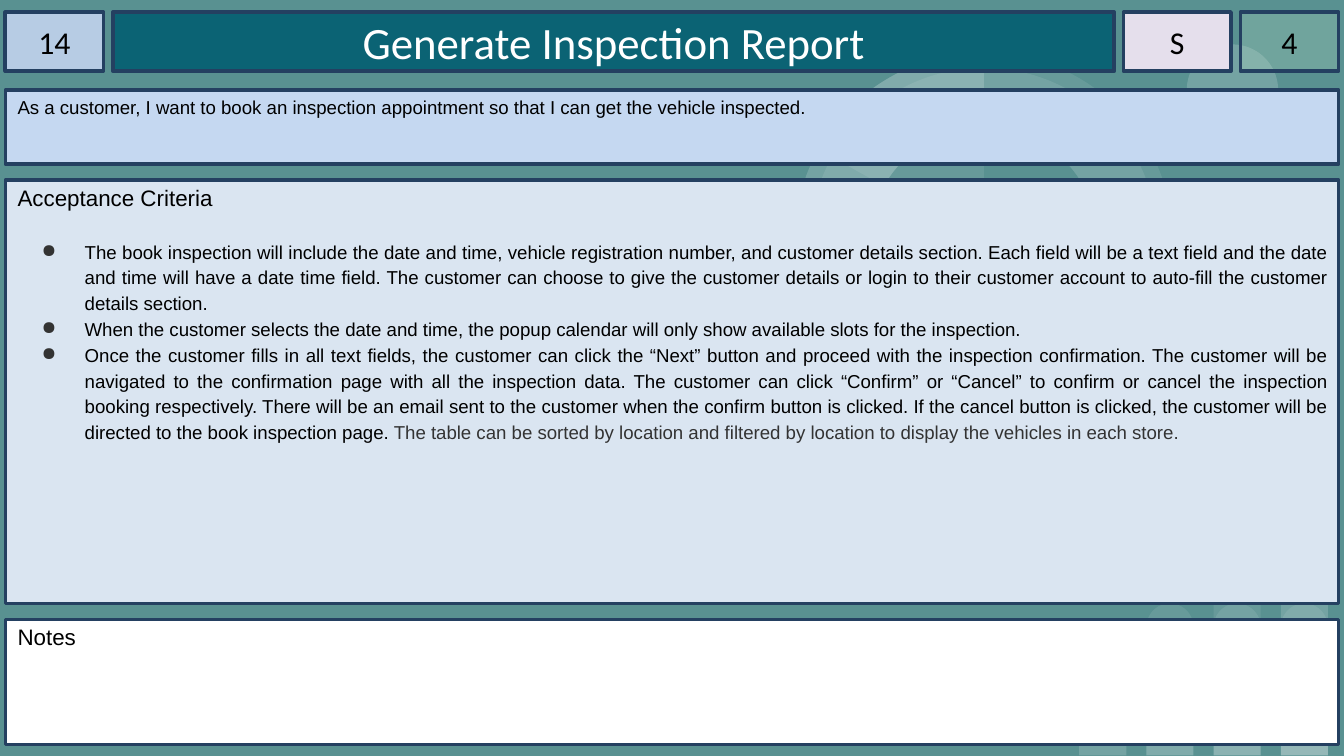
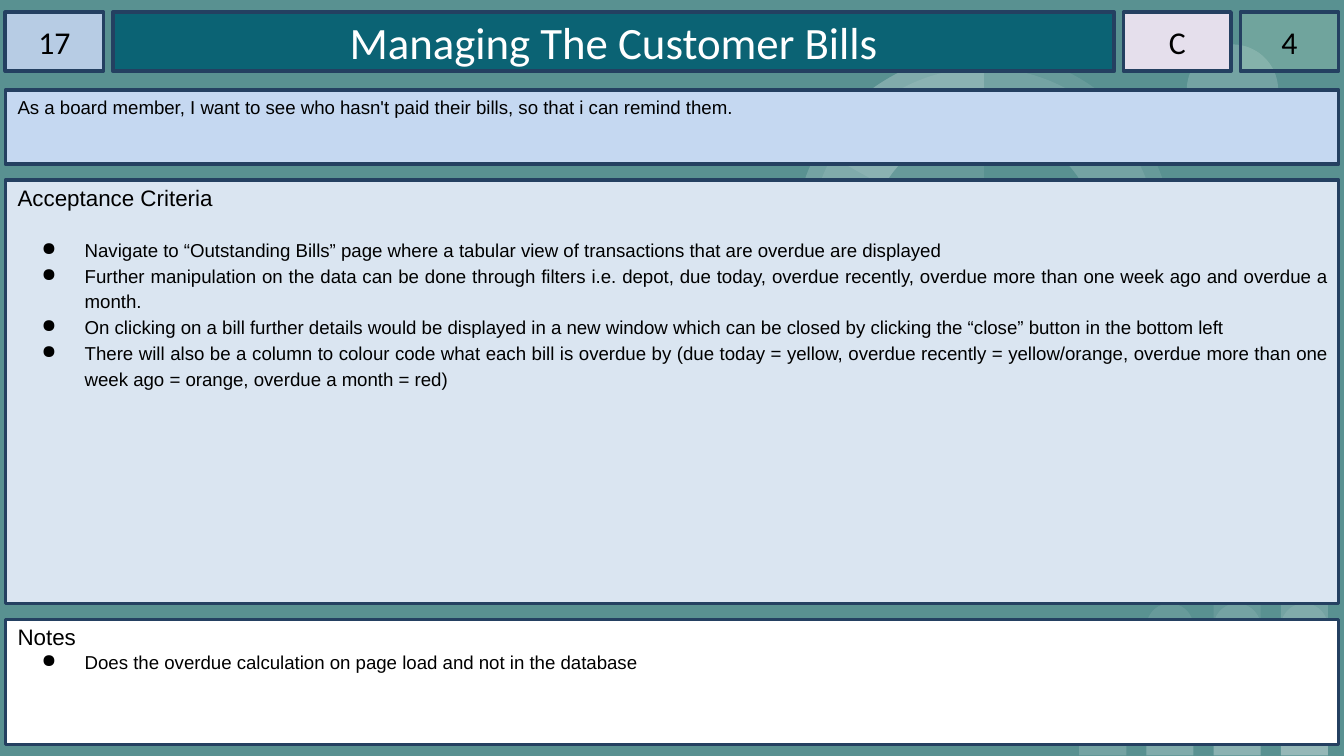
from dataclasses import dataclass

from lxml import etree
from pptx import Presentation
from pptx.dml.color import RGBColor
from pptx.enum.shapes import MSO_SHAPE
from pptx.enum.text import MSO_ANCHOR, PP_ALIGN
from pptx.oxml.ns import qn
from pptx.util import Inches, Pt

RECT, OVAL, PIE = MSO_SHAPE.RECTANGLE, MSO_SHAPE.OVAL, MSO_SHAPE.PIE
PILLAR = MSO_SHAPE.ROUND_2_SAME_RECTANGLE
TOP, MIDDLE = MSO_ANCHOR.TOP, MSO_ANCHOR.MIDDLE
LEFT, CENTER, JUSTIFY = PP_ALIGN.LEFT, PP_ALIGN.CENTER, PP_ALIGN.JUSTIFY


@dataclass(frozen=True)
class Theme:
    """Colours, fonts and type sizes of the story cards."""
    back: str = "599191"
    edge: str = "244061"
    number: str = "B7CCE4"
    title: str = "0B6374"
    level: str = "E5DFEC"
    points: str = "CCF0CD"
    story: str = "C5D8F1"
    tests: str = "DAE5F1"
    white: str = "FFFFFF"
    ink: str = "000000"
    gray: str = "333333"
    head_font: str = "Calibri"
    body_font: str = "Arial"
    title_size: int = 24
    chip_size: int = 17
    label_size: int = 12
    body_size: int = 10
    edge_width: int = 2
    veil: int = 9
    tint: int = 20


THEME = Theme()

CARDS = [
    {
        "number": "14",
        "title": "Generate Inspection Report",
        "level": "S",
        "points": "4",
        "story": "As a customer, I want to book an inspection appointment so that I can get the vehicle inspected.",
        "dot": THEME.gray,
        "gap": 14,
        "tests": [
            "The book inspection will include the date and time, vehicle registration number, and customer "
            "details section. Each field will be a text field and the date and time will have a date time "
            "field. The customer can choose to give the customer details or login to their customer account "
            "to auto-fill the customer details section.",
            "When the customer selects the date and time, the popup calendar will only show available slots "
            "for the inspection.",
            "Once the customer fills in all text fields, the customer can click the “Next” button and proceed "
            "with the inspection confirmation. The customer will be navigated to the confirmation page with "
            "all the inspection data. The customer can click “Confirm” or “Cancel” to confirm or cancel the "
            "inspection booking respectively. There will be an email sent to the customer when the confirm "
            "button is clicked. If the cancel button is clicked, the customer will be directed to the book "
            "inspection page. ",
        ],
        "tail": "The table can be sorted by location and filtered by location to display the vehicles in "
                "each store.",
        "notes": [],
    },
    {
        "number": "17",
        "title": "Managing The Customer Bills",
        "level": "C",
        "points": "4",
        "story": "As a board member, I want to see who hasn't paid their bills, so that i can remind them.",
        "dot": THEME.ink,
        "gap": 13,
        "tests": [
            "Navigate to “Outstanding Bills” page where a tabular view of transactions that are overdue are "
            "displayed",
            "Further manipulation on the data can be done through filters i.e. depot, due today, overdue "
            "recently, overdue more than one week ago and overdue a month.",
            "On clicking on a bill further details would be displayed in a new window which can be closed by "
            "clicking the “close” button in the bottom left",
            "There will also be a column to colour code what each bill is overdue by (due today = yellow, "
            "overdue recently = yellow/orange, overdue more than one week ago = orange, overdue a month = red)",
        ],
        "tail": "",
        "notes": ["Does the overdue calculation on page load and not in the database"],
    },
]


def add_form(shapes, kind, box, color, alpha=100, turn=0, bends=()):
    """Add a flat filled shape without a line."""
    form = shapes.add_shape(kind, *map(Inches, box))
    form.shadow.inherit = False
    form.line.fill.background()
    form.fill.solid()
    form.fill.fore_color.rgb = RGBColor.from_string(color)
    if alpha < 100:
        tone = form.fill._xPr.find(".//" + qn("a:srgbClr"))
        etree.SubElement(tone, qn("a:alpha"), val=str(alpha * 1000))
    form.rotation = turn
    for place, bend in enumerate(bends):
        form.adjustments[place] = bend
    return form


def style_runs(para, font, size, color):
    """Format every run of a paragraph."""
    for run in para.runs:
        run.font.name = font
        run.font.size = Pt(size)
        run.font.color.rgb = RGBColor.from_string(color)


def add_panel(slide, box, color, text, font, size, ink=THEME.ink, alpha=100,
              anchor=TOP, align=LEFT, side=0.09, top=0.04):
    """Add an edged box with one styled line and return its text frame."""
    panel = add_form(slide.shapes, RECT, box, color, alpha)
    panel.line.color.rgb = RGBColor.from_string(THEME.edge)
    panel.line.width = Pt(THEME.edge_width)
    frame = panel.text_frame
    frame.word_wrap = True
    frame.vertical_anchor = anchor
    frame.margin_left = frame.margin_right = Inches(side)
    frame.margin_top, frame.margin_bottom = Inches(top), Inches(0.04)
    frame.text = text
    para = frame.paragraphs[0]
    para.alignment = align
    style_runs(para, font, size, ink)
    return frame


def add_bullet(frame, text, dot, align=LEFT, spacing=1.0):
    """Append a bulleted paragraph."""
    para = frame.add_paragraph()
    props = para._p.get_or_add_pPr()
    props.set("marL", str(Inches(0.5)))
    props.set("indent", str(Inches(-0.32)))
    tone = etree.SubElement(props, qn("a:buClr"))
    etree.SubElement(tone, qn("a:srgbClr"), val=dot)
    etree.SubElement(props, qn("a:buChar"), char="●")
    para.alignment = align
    para.line_spacing = spacing
    para.text = text
    style_runs(para, THEME.body_font, THEME.body_size, THEME.ink)
    return para


def draw_bars(slide, box):
    """Draw the stepped pale pillars on the bottom edge of a box."""
    left, top, width, height = box
    group = slide.shapes.add_group_shape()
    for column in range(4):
        for step in range(column + 2):
            tall = 0.37 + 0.38 * step
            place = (left + 0.5 * column, top + height - tall, 0.35, tall)
            add_form(group.shapes, PILLAR, place, THEME.white, THEME.veil, bends=(0.5, 0))


def draw_dial(slide, box):
    """Draw the pale ring chart and the small disc at its upper right."""
    left, top, size = box
    shapes = slide.shapes.add_group_shape().shapes
    disc = (left + 2.92, top - 0.06, 0.68, 0.68)
    ring = (left, top, size, size)

    def center(part):
        """Return a square box in the middle of the ring."""
        inset = (size - part) / 2
        return left + inset, top + inset, part, part

    for kind, place, turn, bends in (
        (OVAL, disc, 215.9, ()),
        (PIE, disc, 215.9, (193.77, 123.14)),
        (OVAL, ring, 0, ()),
        (OVAL, center(2.59), 34.1, ()),
        (PIE, ring, 0, (88.01, 162)),
    ):
        add_form(shapes, kind, place, THEME.white, THEME.veil, turn, bends)
    add_form(shapes, OVAL, center(1.7), THEME.back, turn=34.1)
    add_form(shapes, PIE, ring, THEME.white, THEME.veil, bends=(125.54, 162))


def draw_header(slide, box, card):
    """Draw the row of number, title, level and points."""
    left, top, width, height = box
    chip, level, gap = 0.73, 0.8, 0.07
    title = width - 2 * chip - level - 3 * gap
    for key, wide, ink, size, alpha, side in (
        ("number", chip, THEME.ink, THEME.chip_size, 100, 0),
        ("title", title, THEME.white, THEME.title_size, 100, 0.09),
        ("level", level, THEME.ink, THEME.chip_size, 100, 0),
        ("points", chip, THEME.ink, THEME.chip_size, THEME.tint, 0),
    ):
        add_panel(slide, (left, top, wide, height), getattr(THEME, key), card[key],
                  THEME.head_font, size, ink, alpha, MIDDLE, CENTER, side)
        left += wide + gap


def draw_story(slide, box, card):
    """Draw the user story."""
    add_panel(slide, box, THEME.story, card["story"], THEME.body_font, THEME.body_size)


def draw_tests(slide, box, card):
    """Draw the list of acceptance criteria."""
    frame = add_panel(slide, box, THEME.tests, "Acceptance Criteria",
                      THEME.body_font, THEME.label_size, top=0.03)
    paras = [add_bullet(frame, text, card["dot"], JUSTIFY, 1.15) for text in card["tests"]]
    paras[0].space_before = Pt(card["gap"])
    if card["tail"]:
        run = paras[-1].add_run()
        run.text = card["tail"]
        style_runs(paras[-1], THEME.body_font, THEME.body_size, THEME.ink)
        run.font.color.rgb = RGBColor.from_string(THEME.gray)


def draw_notes(slide, box, card):
    """Draw the notes box."""
    frame = add_panel(slide, box, THEME.white, "Notes",
                      THEME.body_font, THEME.label_size, top=0.03)
    for text in card["notes"]:
        add_bullet(frame, text, card["dot"])


def draw_card(deck, card):
    """Add one story card slide."""
    slide = deck.slides.add_slide(deck.slide_layouts[6])
    left, width = 0.04, 9.92
    draw_bars(slide, (8.03, 3.73, 1.85, 1.89))
    draw_dial(slide, (5.91, 0.39, 2.82))
    for draw, top, height in (
        (draw_header, 0.09, 0.44),
        (draw_story, 0.67, 0.55),
        (draw_tests, 1.34, 3.15),
        (draw_notes, 4.61, 0.93),
    ):
        draw(slide, (left, top, width, height), card)


def main():
    """Build and save the deck."""
    deck = Presentation()
    deck.slide_width = Inches(10)
    deck.slide_height = deck.slide_width * 9 // 16
    fill = deck.slide_master.background.fill
    fill.solid()
    fill.fore_color.rgb = RGBColor.from_string(THEME.back)
    for card in CARDS:
        draw_card(deck, card)
    deck.save("out.pptx")


if __name__ == "__main__":
    main()
